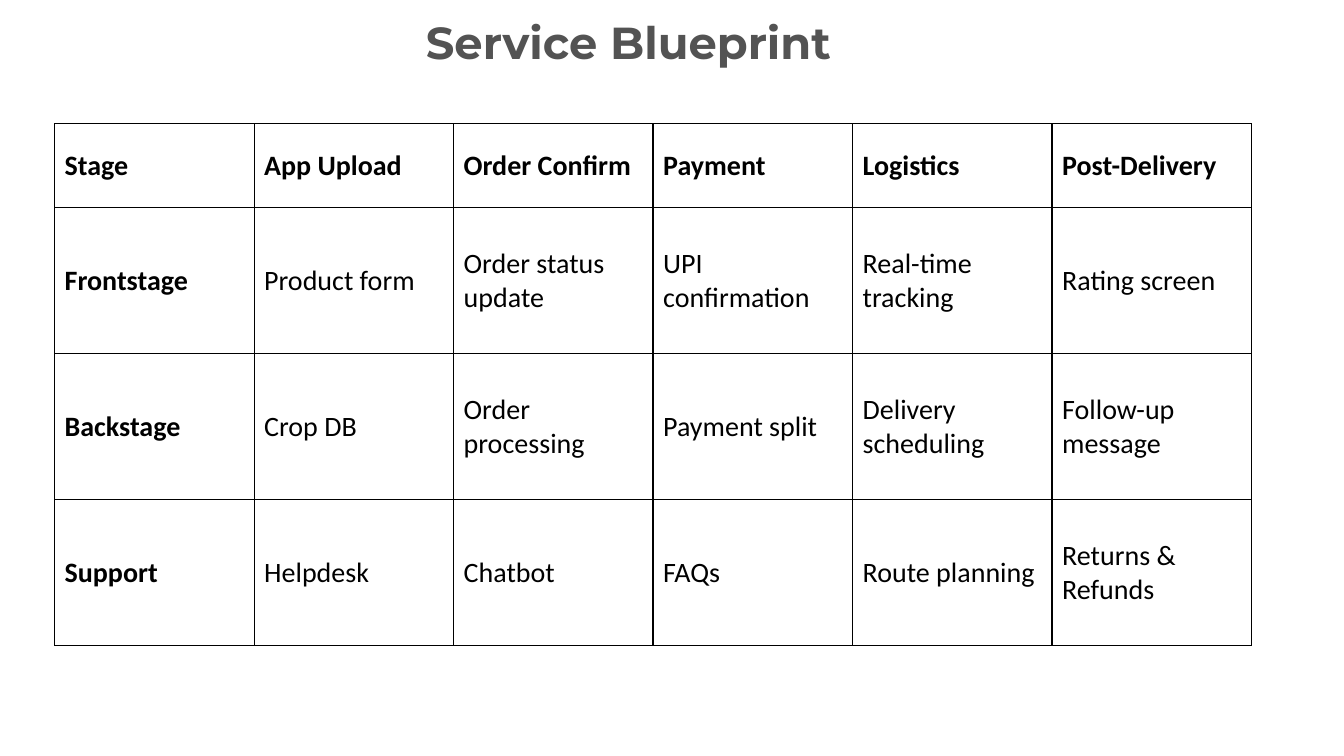
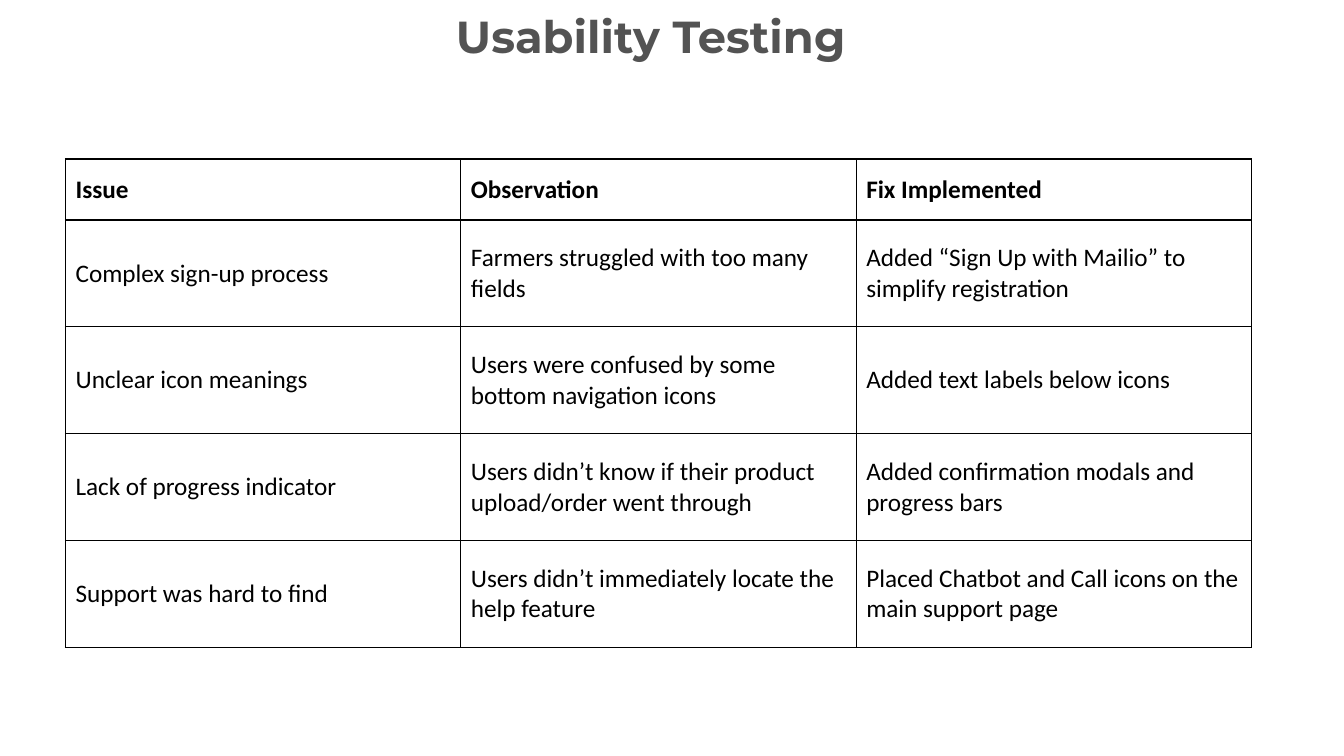
from dataclasses import dataclass

from lxml.etree import SubElement
from pptx import Presentation
from pptx.dml.color import RGBColor
from pptx.enum.text import MSO_ANCHOR, MSO_AUTO_SIZE, PP_ALIGN
from pptx.oxml.ns import qn
from pptx.util import Pt

COLORS = {"title": "535353", "text": "000000", "border": "000000"}
TITLE_FONT, BODY_FONT = "Montserrat", "Calibri"
TITLE_SIZE = 32
BORDER_WIDTH = 1


@dataclass(frozen=True)
class Box:
    left: float
    top: float
    width: float
    height: float


@dataclass(frozen=True)
class TableSlide:
    title: str
    title_box: Box
    left: float
    top: float
    col_width: float
    header_height: float
    row_height: float
    size: float
    bold_first_col: bool
    rows: list[list[str]]


SLIDES = [
    TableSlide(
        title="Service Blueprint", title_box=Box(297, -5, 367, 74),
        left=39, top=88.3, col_width=142.5, header_height=60, row_height=104.3,
        size=20, bold_first_col=True,
        rows=[
            ["Stage", "App Upload", "Order Confirm", "Payment", "Logistics", "Post-Delivery"],
            ["Frontstage", "Product form", "Order status update", "UPI confirmation",
             "Real-time tracking", "Rating screen"],
            ["Backstage", "Crop DB", "Order processing", "Payment split",
             "Delivery scheduling", "Follow-up message"],
            ["Support", "Helpdesk", "Chatbot", "FAQs", "Route planning", "Returns & Refunds"],
        ],
    ),
    TableSlide(
        title="Usability Testing", title_box=Box(318.5, -21.8, 304.5, 98.8),
        left=46.8, top=113.6, col_width=282.4, header_height=43.6, row_height=76.3,
        size=18, bold_first_col=False,
        rows=[
            ["Issue", "Observation", "Fix Implemented"],
            ["Complex sign-up process", "Farmers struggled with too many fields",
             "Added “Sign Up with Mailio” to simplify registration"],
            ["Unclear icon meanings", "Users were confused by some bottom navigation icons",
             "Added text labels below icons"],
            ["Lack of progress indicator",
             "Users didn’t know if their product upload/order went through",
             "Added confirmation modals and progress bars"],
            ["Support was hard to find", "Users didn’t immediately locate the help feature",
             "Placed Chatbot and Call icons on the main support page"],
        ],
    ),
]


def write_text(tf, text: str, *, font: str, size: float, color: str,
               bold: bool = False, line_spacing: float = 1.0) -> None:
    tf.word_wrap = True
    p = tf.paragraphs[0]
    p.alignment = PP_ALIGN.LEFT
    p.line_spacing = line_spacing
    r = p.add_run()
    r.text = text
    r.font.name = font
    r.font.size = Pt(size)
    r.font.bold = bold
    r.font.color.rgb = RGBColor.from_string(COLORS[color])


def add_borders(cell) -> None:
    tc_pr = cell._tc.get_or_add_tcPr()
    for side in ("lnL", "lnR", "lnT", "lnB"):
        ln = SubElement(tc_pr, qn(f"a:{side}"), w=str(Pt(BORDER_WIDTH)))
        fill = SubElement(ln, qn("a:solidFill"))
        SubElement(fill, qn("a:srgbClr"), val=COLORS["border"])


def add_title(s, text: str, box: Box) -> None:
    sp = s.shapes.title
    sp.left, sp.top = Pt(box.left), Pt(box.top)
    sp.width, sp.height = Pt(box.width), Pt(box.height)
    tf = sp.text_frame
    tf.auto_size = MSO_AUTO_SIZE.NONE
    tf.vertical_anchor = MSO_ANCHOR.MIDDLE
    write_text(tf, text, font=TITLE_FONT, size=TITLE_SIZE, color="title",
               bold=True, line_spacing=0.9)


def add_grid(s, data: TableSlide) -> None:
    n_rows, n_cols = len(data.rows), len(data.rows[0])
    height = data.header_height + (n_rows - 1) * data.row_height
    table = s.shapes.add_table(n_rows, n_cols, Pt(data.left), Pt(data.top),
                               Pt(n_cols * data.col_width), Pt(height)).table
    table.first_row = table.horz_banding = False
    for col in table.columns:
        col.width = Pt(data.col_width)
    for i, row in enumerate(data.rows):
        table.rows[i].height = Pt(data.row_height if i else data.header_height)
        for j, text in enumerate(row):
            cell = table.cell(i, j)
            cell.vertical_anchor = MSO_ANCHOR.MIDDLE
            add_borders(cell)
            cell.fill.background()
            write_text(cell.text_frame, text, font=BODY_FONT, size=data.size, color="text",
                       bold=i == 0 or (j == 0 and data.bold_first_col))


def main() -> None:
    prs = Presentation()
    prs.slide_width, prs.slide_height = Pt(960), Pt(540)
    title_only = prs.slide_layouts[5]
    for data in SLIDES:
        s = prs.slides.add_slide(title_only)
        add_title(s, data.title, data.title_box)
        add_grid(s, data)
    prs.save("out.pptx")


if __name__ == "__main__":
    main()
